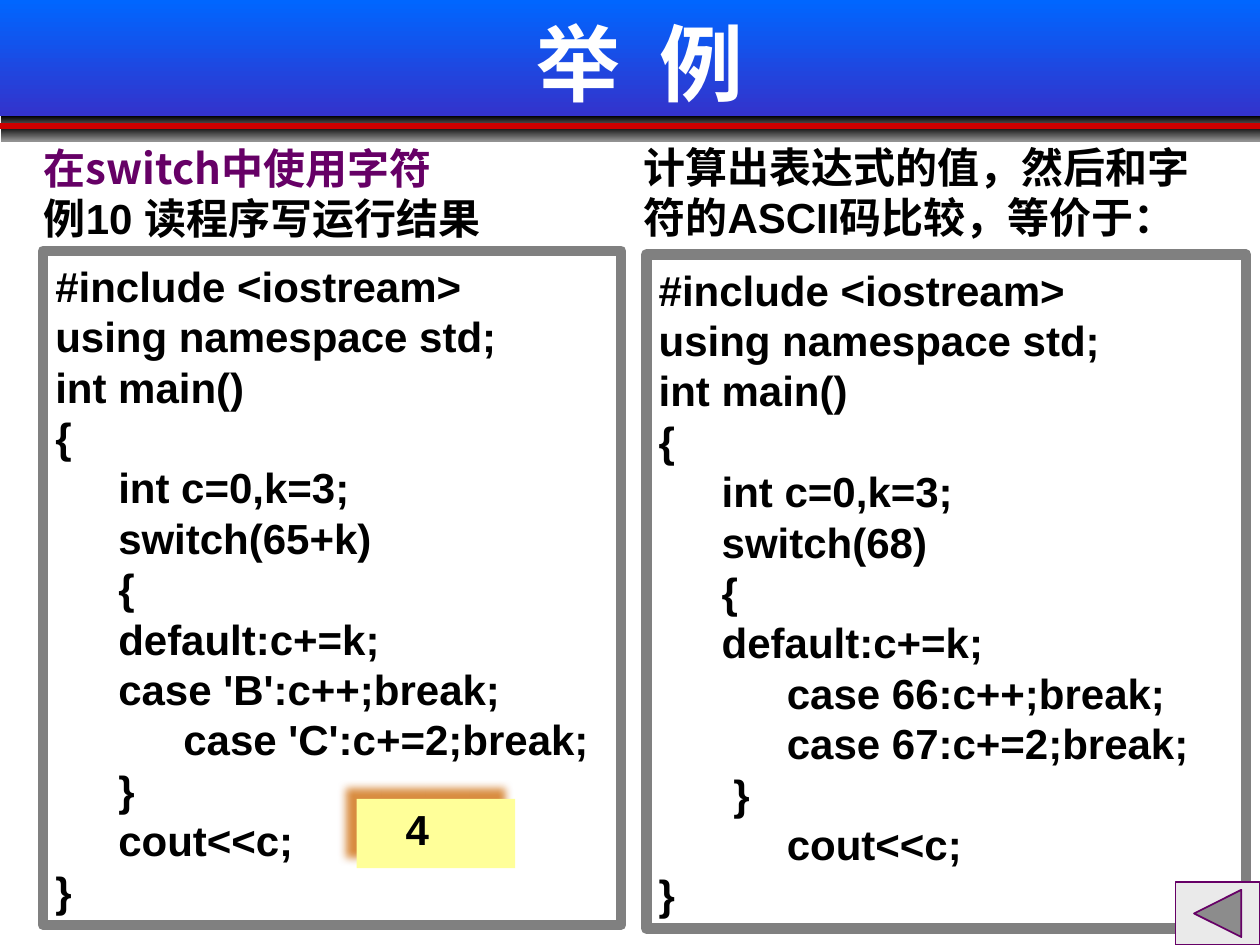
from lxml.etree import SubElement
from pptx import Presentation
from pptx.dml.color import RGBColor
from pptx.enum.shapes import MSO_CONNECTOR, MSO_SHAPE
from pptx.enum.text import MSO_ANCHOR, MSO_AUTO_SIZE, PP_ALIGN
from pptx.oxml.ns import qn
from pptx.util import Inches, Pt

# Content
TITLE = "举  例"
INTRO = ["在switch中使用字符", "例10 读程序写运行结果"]
NOTE = ["计算出表达式的值，然后和字符的ASCII码比较，等价于："]
ANSWER = ["4"]
HEAD = ["#include <iostream>", "using namespace std;", "int main()"]
LEFT = HEAD + [
    "{", "\tint c=0,k=3;", "\tswitch(65+k)", "\t{", "\tdefault:c+=k;",
    "\tcase 'B':c++;break;", "           case 'C':c+=2;break;",
    "\t}", "\tcout<<c;", "}",
]
RIGHT = HEAD + [
    "{ ", "\tint c=0,k=3;", "   \tswitch(68)", "\t{", "\tdefault:c+=k;",
    "           case 66:c++;break;", "           case 67:c+=2;break;",
    "\t }", "           cout<<c;", "}",
]

COLORS = {
    "sky": "0066FF", "indigo": "3333CC", "black": "000000", "ash": "929292",
    "gray": "808080", "red": "CC0000", "yellow": "FFFF99", "orange": "CC6600",
    "purple": "660066", "silver": "EAEAEA", "white": "FFFFFF",
}
FONT = "Arial"


def rgb(name):
    return RGBColor.from_string(COLORS[name])


def add_box(box, fill=None, line=None, width=0, kind=MSO_SHAPE.RECTANGLE):
    """Add a shape; fill is a colour, a pair for a vertical blend, or None."""
    shape = slide.shapes.add_shape(kind, *map(Inches, box))
    shape.shadow.inherit = False
    if fill is None:
        shape.fill.background()
    elif isinstance(fill, tuple):
        shape.fill.gradient()
        shape.fill.gradient_angle = 270
        for stop, name, place in zip(shape.fill.gradient_stops, fill, (0, 1)):
            stop.color.rgb = rgb(name)
            stop.position = place
    else:
        shape.fill.solid()
        shape.fill.fore_color.rgb = rgb(fill)
    if line:
        shape.line.color.rgb = rgb(line)
        shape.line.width = Pt(width)
    else:
        shape.line.fill.background()
    return shape


def add_shadow(shape, color, dist, angle):
    effects = shape._element.spPr.find(qn("a:effectLst"))
    outer = SubElement(effects, qn("a:outerShdw"), blurRad=str(Pt(5)),
                       dist=str(Pt(dist)), dir=str(angle * 60000),
                       algn="ctr", rotWithShape="0")
    tint = SubElement(outer, qn("a:srgbClr"), val=COLORS[color])
    SubElement(tint, qn("a:alpha"), val="75000")


def style(para, color="black", size=24, font=FONT):
    for run in para.runs:
        run.font.name = font
        run.font.size = Pt(size)
        run.font.bold = True
        run.font.color.rgb = rgb(color)


def write(shape, lines, align=PP_ALIGN.LEFT, anchor=MSO_ANCHOR.TOP):
    frame = shape.text_frame
    frame.text = "\n".join(lines)
    frame.word_wrap = True
    frame.auto_size = MSO_AUTO_SIZE.SHAPE_TO_FIT_TEXT
    frame.vertical_anchor = anchor
    for para in frame.paragraphs:
        para.alignment = align
        para.line_spacing = Pt(28.8)
        style(para)
    return frame


def add_text(box, lines):
    return write(slide.shapes.add_textbox(*map(Inches, box)), lines)


deck = Presentation()
deck.slide_width, deck.slide_height = Inches(10), Inches(7.5)
slide = deck.slides.add_slide(deck.slide_layouts[5])

# Banner, dark bands and red rule
banner = add_box((0, 0, 10, 0.92), ("sky", "indigo"))
add_shadow(banner, "gray", 3, 45)
for top in (0.92, 1):
    add_box((0.01, top, 9.99, 0.12), ("black", "ash"))
rule = slide.shapes.add_connector(
    MSO_CONNECTOR.STRAIGHT, 0, Inches(1), Inches(10), Inches(1))
rule.line.color.rgb = rgb("red")
rule.line.width = Pt(3)
SubElement(rule._element.spPr, qn("a:effectLst"))

# Answer card
card = add_box((2.83, 6.34, 1.26, 0.55), "yellow")
add_shadow(card, "orange", 8.5, 225)

# Title, raised above the banner
title = slide.shapes.title
title.left, title.top, title.width, title.height = map(
    Inches, (0.83, 0.08, 8.5, 0.83))
title.text_frame.text = TITLE
title.text_frame.auto_size = MSO_AUTO_SIZE.NONE
title.text_frame.vertical_anchor = MSO_ANCHOR.MIDDLE
title.text_frame.paragraphs[0].alignment = PP_ALIGN.CENTER
style(title.text_frame.paragraphs[0], "white", 48)
slide.shapes._spTree.append(title._element)

# Headings and answer
intro = add_text((0.25, 1.08, 8.67, 0.91), INTRO)
for para in intro.paragraphs:
    props = para._p.get_or_add_pPr()
    props.set("marL", str(Inches(0.67)))
    props.set("indent", str(-Inches(0.67)))
style(intro.paragraphs[0], "purple", font="Noto Sans CJK SC")
add_text((3.12, 6.33, 1.81, 0.5), ANSWER)

# Code panels
for box, code, align in (
    ((0.34, 1.99, 4.59, 5.35), LEFT, PP_ALIGN.LEFT),
    ((5.13, 2.02, 4.76, 5.35), RIGHT, PP_ALIGN.JUSTIFY),
):
    write(add_box(box, line="gray", width=6), code, align, MSO_ANCHOR.MIDDLE)
add_text((5.01, 1.07, 4.73, 0.91), NOTE)

# Back button
add_box((9.33, 7, 0.67, 0.5), "silver", "purple", 1,
        MSO_SHAPE.ACTION_BUTTON_BACK_OR_PREVIOUS)

deck.save("out.pptx")
